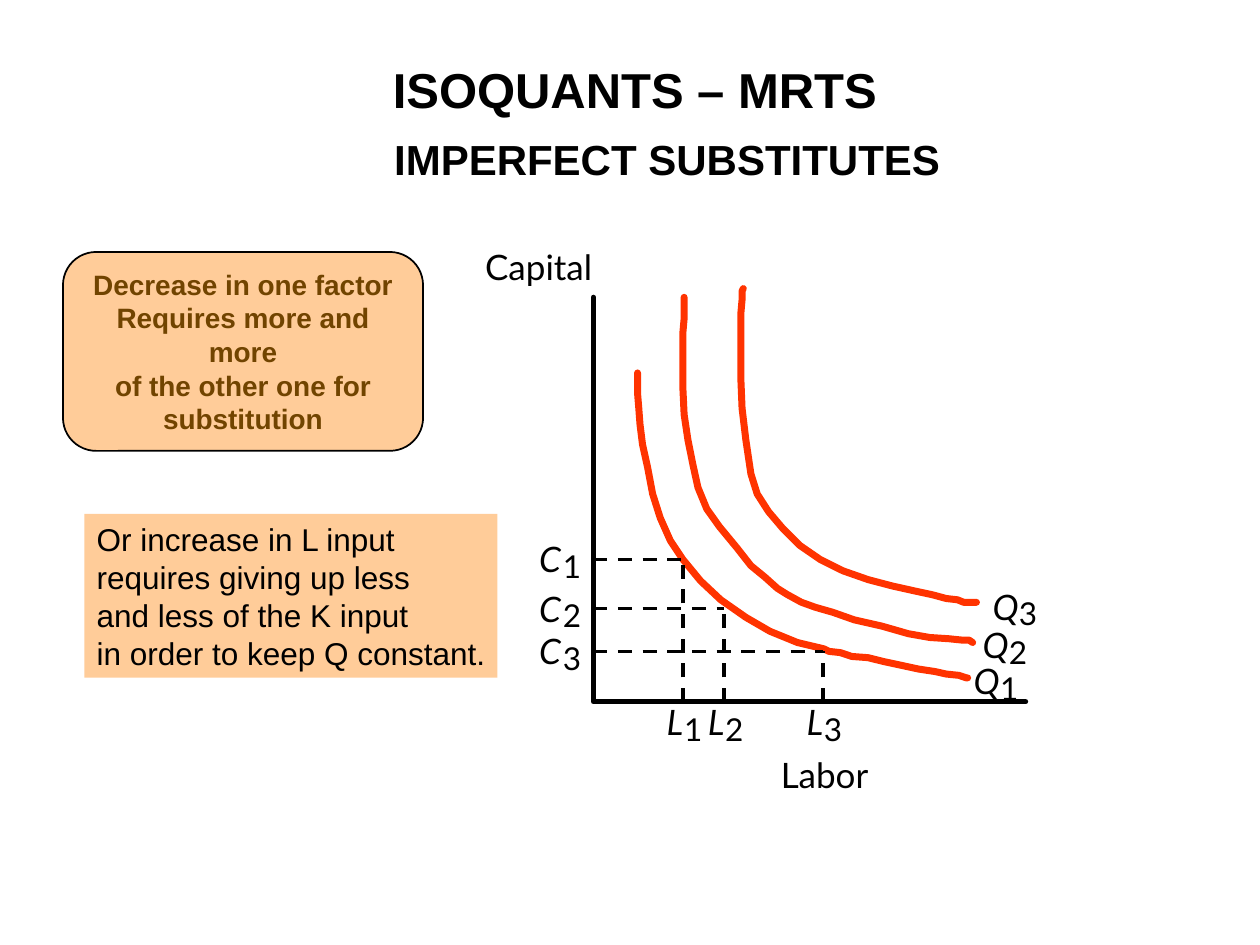
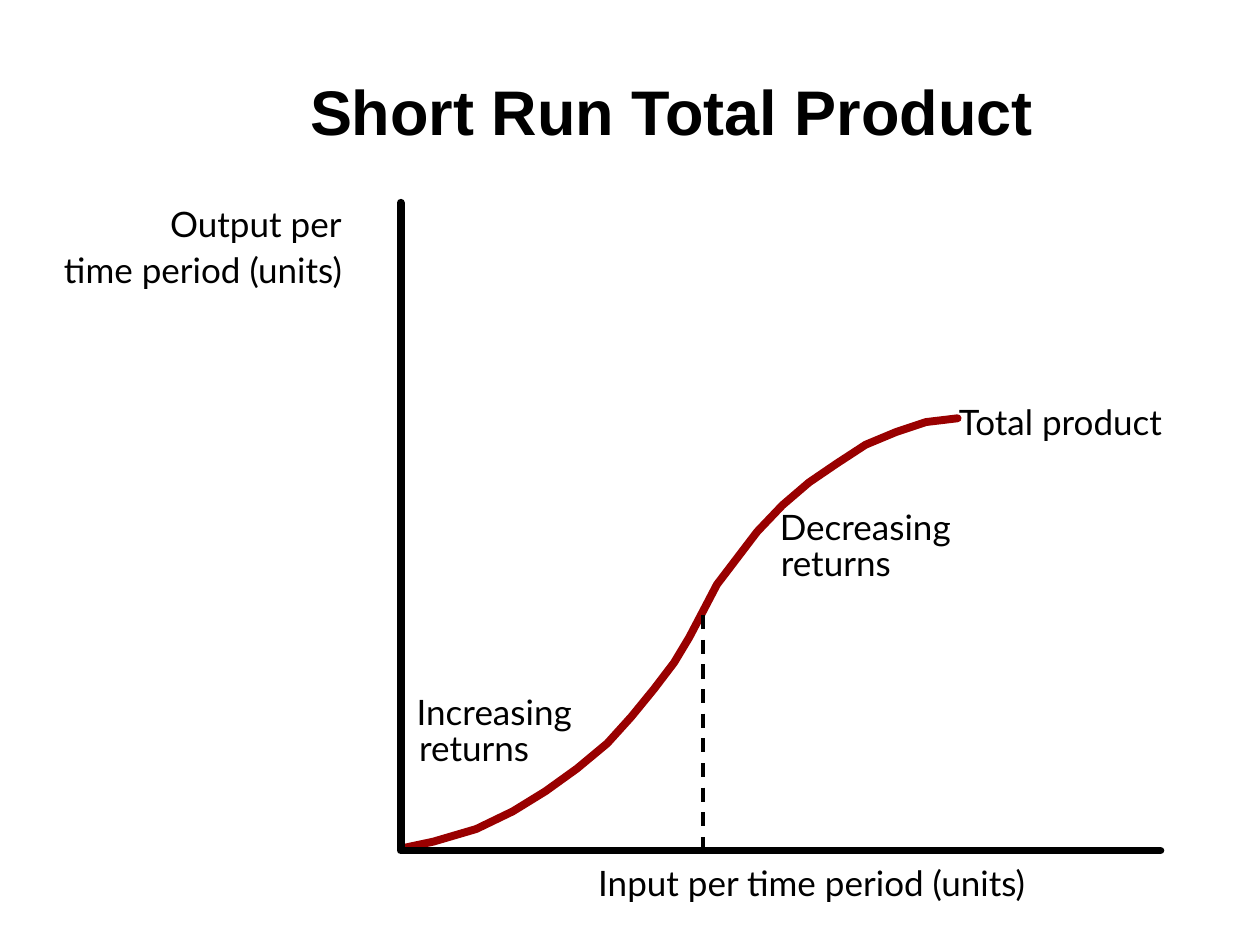
import pptx
import pptx.dml.color
import pptx.enum.dml
import pptx.enum.shapes
import pptx.enum.text
import pptx.oxml
import pptx.oxml.ns
import pptx.util

Cm = pptx.util.Cm
Pt = pptx.util.Pt
RGBColor = pptx.dml.color.RGBColor
ANCHOR = pptx.enum.text.MSO_ANCHOR
ALIGN = pptx.enum.text.PP_ALIGN
AUTO_SIZE = pptx.enum.text.MSO_AUTO_SIZE
SHAPE = pptx.enum.shapes.MSO_SHAPE

BLACK = RGBColor(0x00, 0x00, 0x00)
WHITE = RGBColor(0xFF, 0xFF, 0xFF)
PEACH = RGBColor(0xFF, 0xCC, 0x99)
BROWN = RGBColor(0x71, 0x44, 0x00)
ORANGE_RED = RGBColor(0xFF, 0x33, 0x00)
DARK_RED = RGBColor(0x99, 0x00, 0x00)

# Curve points are counted in hundredths of 2.54 cm
PLOT_UNIT = Cm(2.54) / 100

TITLE_FONT = {"name": "Arial", "bold": True}
LABEL_FONT = {"name": "Lato", "size": Pt(20)}
SYMBOL_FONT = {**LABEL_FONT, "italic": True}
INDEX_FONT = {**LABEL_FONT, "size": Pt(18)}


def apply(target, formats):
    for name, value in formats.items():
        setattr(target, name, value)


class Deck:
    """Holds the shared style and the slide being drawn."""

    def __init__(self):
        self.presentation = pptx.Presentation()
        apply(self.presentation, {"slide_width": Cm(25.4), "slide_height": Cm(19.05)})
        self.slide = None

    def new_slide(self, title, box, size):
        layout = self.presentation.slide_layouts[5]
        self.slide = self.presentation.slides.add_slide(layout)
        heading = self.slide.shapes.title
        apply(heading, dict(zip(("left", "top", "width", "height"), map(Cm, box))))
        self.fill_text(heading, [title], {**TITLE_FONT, "size": Pt(size)},
                       align=ALIGN.CENTER, anchor=ANCHOR.MIDDLE)

    def fill_text(self, shape, lines, font, color=BLACK, align=ALIGN.LEFT,
                  anchor=ANCHOR.TOP, wrap=True, fit=AUTO_SIZE.NONE):
        frame = shape.text_frame
        apply(frame, {"word_wrap": wrap, "auto_size": fit, "vertical_anchor": anchor})
        for index, line in enumerate(lines):
            paragraph = frame.add_paragraph() if index else frame.paragraphs[0]
            paragraph.alignment = align
            run = paragraph.add_run()
            run.text = line
            apply(run.font, font)
            run.font.color.rgb = color

    def label(self, text, left, top, width, height=1.09, font=LABEL_FONT, wrap=False):
        box = self.slide.shapes.add_textbox(Cm(left), Cm(top), Cm(width), Cm(height))
        self.fill_text(box, [text], font, wrap=wrap, fit=AUTO_SIZE.SHAPE_TO_FIT_TEXT)

    def symbol(self, letter, index, left, top, index_shift):
        self.label(letter, left, top, index_shift + 0.45, font=SYMBOL_FONT)
        self.label(str(index), left + index_shift, top + 0.18, 0.86, 1, INDEX_FONT)

    def panel(self, kind, box, fill, outline=None):
        shape = self.slide.shapes.add_shape(kind, *map(Cm, box))
        shape.shadow.inherit = False
        shape.fill.solid()
        shape.fill.fore_color.rgb = fill
        if outline is None:
            shape.line.fill.background()
        else:
            shape.line.color.rgb = outline
            shape.line.width = Pt(1)
        return shape

    def curve(self, points, color, width):
        builder = self.slide.shapes.build_freeform(*points[0], scale=PLOT_UNIT)
        builder.add_line_segments(points[1:], close=False)
        shape = builder.convert_to_shape()
        shape.fill.background()
        shape.line.color.rgb = color
        shape.line.width = Pt(width)
        # Round ends and corners
        outline = shape.element.spPr.ln
        outline.set("cap", "rnd")
        outline.append(pptx.oxml.parse_xml(
            "<a:round %s/>" % pptx.oxml.ns.nsdecls("a")))
        shape.shadow.inherit = False

    def dashed_line(self, *ends):
        line = self.slide.shapes.add_connector(
            pptx.enum.shapes.MSO_CONNECTOR.STRAIGHT, *map(Cm, ends))
        line.line.color.rgb = BLACK
        apply(line.line, {"width": Pt(2),
                          "dash_style": pptx.enum.dml.MSO_LINE.DASH})
        line.element.spPr.append(pptx.oxml.parse_xml(
            "<a:effectLst %s/>" % pptx.oxml.ns.nsdecls("a")))


ISOQUANTS = [
    [(506, 296), (506, 312), (507, 324), (508, 337), (510, 353), (514, 371),
     (518, 392), (524, 411), (532, 429), (542, 444), (556, 461), (572, 476),
     (592, 490), (611, 501), (633, 510), (654, 515), (658, 517), (667, 518),
     (676, 521), (689, 522), (701, 525), (715, 528), (729, 531), (742, 533),
     (751, 535), (761, 536), (767, 538), (768, 538)],
    [(543, 236), (543, 253), (542, 264), (542, 308), (543, 329), (546, 349),
     (550, 369), (554, 387), (561, 404), (571, 418), (585, 435), (596, 449),
     (607, 458), (617, 467), (625, 472), (636, 478), (647, 482), (661, 486),
     (678, 492), (700, 497), (721, 503), (738, 506), (753, 507), (763, 508),
     (769, 508), (772, 510)],
    [(590, 229), (589, 231), (589, 238), (588, 249), (588, 300), (589, 324),
     (592, 349), (596, 376), (601, 392), (610, 406), (621, 419), (635, 433),
     (651, 444), (669, 453), (689, 460), (708, 465), (726, 469), (740, 472),
     (751, 475), (760, 476), (765, 478), (775, 478)],
]
TOTAL_PRODUCT = [
    (311, 675), (344, 668), (378, 658), (407, 644), (433, 628), (458, 610),
    (482, 590), (501, 569), (519, 547), (535, 526), (547, 506), (558, 485),
    (569, 464), (585, 443), (601, 422), (621, 401), (642, 383), (664, 368),
    (687, 353), (711, 343), (735, 335), (760, 332)]


def isoquant_slide(deck):
    deck.new_slide("IMPERFECT SUBSTITUTES", (5.51, 2.34, 15.88, 1.7), 24)
    deck.label("ISOQUANTS – MRTS", 7.67, 1.07, 13.5, 1.45,
               {**TITLE_FONT, "size": Pt(28)}, wrap=True)

    # Isoquants and axes
    for isoquant in ISOQUANTS:
        deck.curve(isoquant, ORANGE_RED, 4)
    deck.curve([(814, 557), (471, 557), (471, 236)], BLACK, 3)
    deck.label("Capital", 9.53, 4.83, 4.06, wrap=True)
    deck.label("Labor", 15.49, 15.06, 2.44)

    # Input combinations, each dropped to both axes
    capital_axis, labor_axis = 11.96, 14.15
    combinations = [(13.77, 11.28), (14.6, 12.27), (16.59, 13.13)]
    for index, (labor, capital) in enumerate(combinations, 1):
        deck.dashed_line(capital_axis, capital, labor, capital)
        deck.dashed_line(labor, labor_axis, labor, capital)
        deck.symbol("L", index, labor - 0.58, 14, 0.35)
        deck.symbol("C", index, 10.62, capital - 0.56, 0.48)
    output_places = [(19.38, 13.18), (19.56, 12.45), (19.76, 11.68)]
    for index, (left, top) in enumerate(output_places, 1):
        deck.symbol("Q", index, left, top, 0.53)

    # Explanations
    decrease = deck.panel(SHAPE.ROUNDED_RECTANGLE, (1.27, 5.08, 7.26, 4.01), PEACH, BLACK)
    deck.fill_text(decrease, ["Decrease in one factor", "Requires more and more",
                              "of the other one for substitution"],
                   {**TITLE_FONT, "size": Pt(16)}, BROWN, ALIGN.CENTER, ANCHOR.MIDDLE)
    increase = deck.panel(SHAPE.RECTANGLE, (1.7, 10.36, 8.33, 3.3), PEACH)
    deck.fill_text(increase, ["Or increase in L input", "requires giving up less",
                              "and less of the K input", "in order to keep Q constant."],
                   {"name": "Arial", "size": Pt(18)}, anchor=ANCHOR.MIDDLE, wrap=False)


def total_product_slide(deck):
    deck.new_slide("Short Run Total Product", (5.92, 1.27, 15.24, 1.91), 36)

    # Curve, trimmed at the origin, then axes
    deck.curve(TOTAL_PRODUCT, DARK_RED, 4.5)
    deck.panel(SHAPE.RECTANGLE, (7.57, 16.46, 0.46, 1.09), WHITE, WHITE)
    deck.panel(SHAPE.RECTANGLE, (7.47, 17.15, 1.1, 0.53), WHITE)
    deck.curve([(921, 675), (318, 675), (318, 161)], BLACK, 4.5)
    deck.dashed_line(14.17, 12.4, 14.17, 17.15)

    # Labels
    for text, left, top, width in [
            ("Input per time period (units)", 11.81, 17.25, 9.91),
            ("Output per", 3.18, 3.96, 4.19),
            ("time period (units)", 1.04, 4.88, 6.6),
            ("Total product", 19.08, 7.95, 4.95),
            ("Decreasing", 15.47, 10.06, 4.24),
            ("returns", 15.49, 10.8, 2.95),
            ("Increasing", 8.15, 13.79, 3.99),
            ("returns", 8.2, 14.53, 2.95)]:
        deck.label(text, left, top, width)


def main():
    deck = Deck()
    isoquant_slide(deck)
    total_product_slide(deck)
    deck.presentation.save("out.pptx")


if __name__ == "__main__":
    main()
